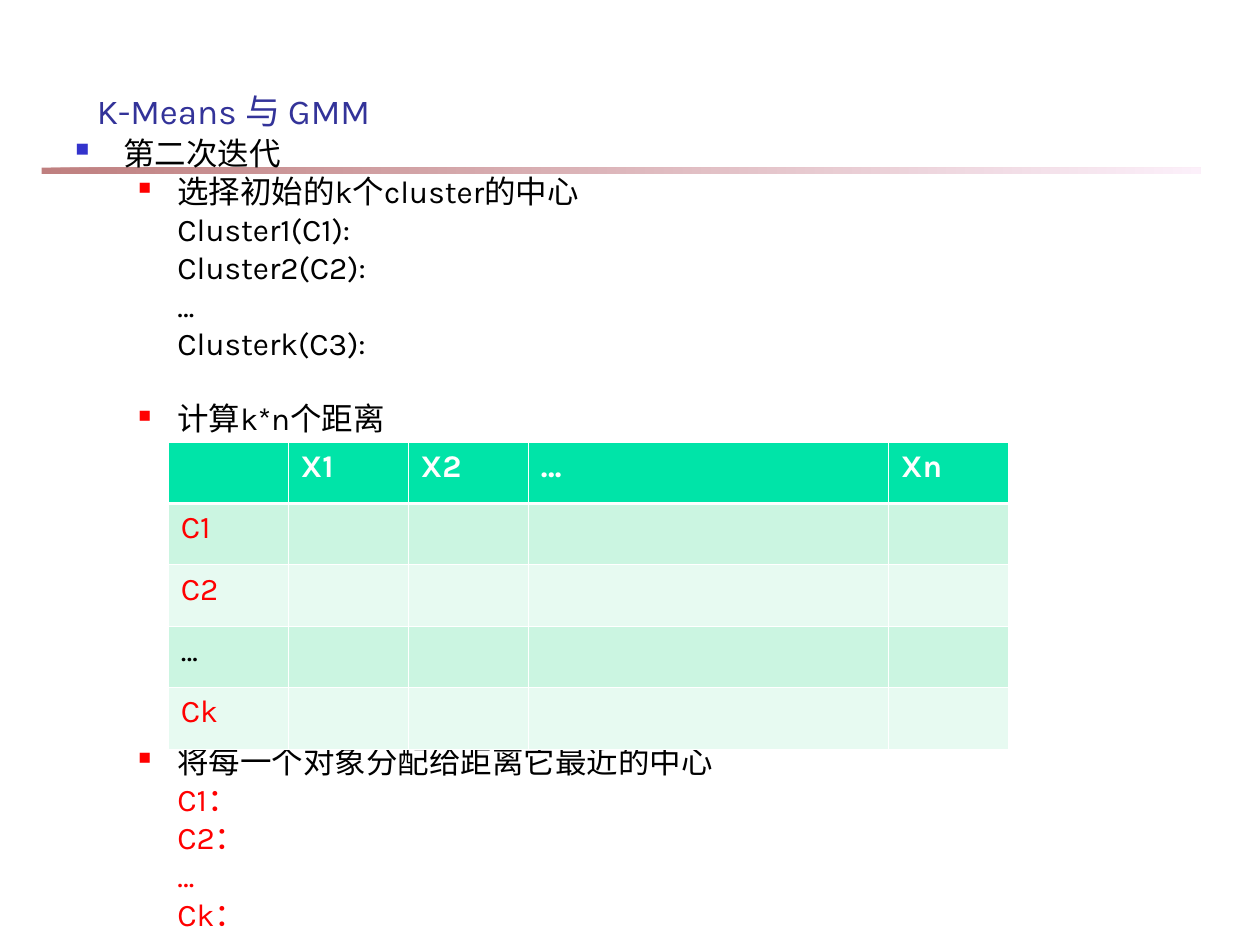
"""Build a slide on the second K-Means iteration with a distance table."""
from lxml import etree
from pptx import Presentation
from pptx.dml.color import RGBColor
from pptx.enum.shapes import MSO_SHAPE as SHAPE
from pptx.enum.text import MSO_ANCHOR as ANCHOR
from pptx.oxml import parse_xml
from pptx.oxml.ns import nsdecls, qn
from pptx.util import Inches, Pt

prs = Presentation()
prs.slide_width, prs.slide_height = Inches(10), Inches(7.5)
W, H = prs.slide_width, prs.slide_height
s = prs.slides.add_slide(prs.slide_layouts[6])
BLACK, RED, WHITE = "000000", "FF0000", "FFFFFF"


def area(x, y, w, h):
    """Turn percentages of the slide into a left, top, width, height box."""
    return [int(v * side / 100) for v, side in zip((x, y, w, h), (W, H, W, H))]


def write(p, text, color, size=18, bold=False):
    """Add one formatted run to a paragraph."""
    r = p.add_run()
    r.text = text
    for key, value in {"name": "Karla", "size": Pt(size), "bold": bold}.items():
        setattr(r.font, key, value)
    r.font.color.rgb = RGBColor.from_string(color)


bar = s.shapes.add_shape(SHAPE.RECTANGLE, *area(3.3, 17.73, 92, 0.67))
bar.shadow.inherit = False
bar.line.fill.background()
bar.fill.gradient()
bar.fill.gradient_angle = 0
for stop, color in zip(bar.fill.gradient_stops, ("800000", "FAE2F6")):
    stop.color.rgb = RGBColor.from_string(color)
for clr in bar.fill._xPr.iter(qn("a:srgbClr")):
    etree.SubElement(clr, qn("a:alpha")).set("val", "50000")

tf = s.shapes.add_textbox(*area(6.7, 5.6, 85.2, 8.93)).text_frame
tf.word_wrap, tf.vertical_anchor = True, ANCHOR.BOTTOM
write(tf.paragraphs[0], "K-Means 与 GMM", "333399", 20)

BULLETS = {0: ("3333CC", 60, 3.8, 3.8), 1: (RED, 55, 8.1, 3.1)}
lines = [
    ("第二次迭代", 0, BLACK, 0),
    ("选择初始的k个cluster的中心", 1, BLACK, 4.5),
    ("Cluster1(C1):", None, BLACK, 4.5),
    ("Cluster2(C2):", None, BLACK, 4.5),
    ("…", None, BLACK, 4.5),
    ("Clusterk(C3):", None, BLACK, 4.5),
    ("计算k*n个距离", 1, BLACK, 25.5),
    ("将每一个对象分配给距离它最近的中心", 1, BLACK, 178.5),
    ("C1：", None, RED, 4.5),
    ("C2：", None, RED, 4.5),
    ("…", None, RED, 4.5),
    ("Ck：", None, RED, 4.5),
]
tf = s.shapes.add_textbox(*area(5, 14.27, 90, 85.73)).text_frame
tf.word_wrap = True
for i, (text, bullet, color, before) in enumerate(lines):
    p = tf.add_paragraph() if i else tf.paragraphs[0]
    p.level = 0 if bullet == 0 else 1
    clr, pct, margin, hang = BULLETS[p.level]
    pPr = p._p.get_or_add_pPr()
    pPr.set("marL", str(int(W * margin / 100)))
    pPr.set("indent", "0" if bullet is None else str(-int(W * hang / 100)))
    if bullet is not None:
        for xml in (f'<a:buClr {nsdecls("a")}><a:srgbClr val="{clr}"/></a:buClr>',
                    f'<a:buSzPct {nsdecls("a")} val="{pct}000"/>',
                    f'<a:buChar {nsdecls("a")} char="■"/>'):
            pPr.append(parse_xml(xml))
    p.line_spacing, p.space_before = 0.8, Pt(before)
    write(p, text, color)

heads = ["", "X1", "X2", "…", "Xn"]
labels = ["", "C1", "C2", "…", "Ck"]
shares = [1, 1, 1, 3, 1]
x, y, w, h = area(13.35, 46.77, 66.7, 32.5)
table = s.shapes.add_table(len(labels), len(heads), x, y, w, h).table
for col, share in zip(table.columns, shares):
    col.width = w * share // sum(shares)
for i, label in enumerate(labels):
    table.rows[i].height = h // len(labels)
    for j, head in enumerate(heads):
        cell = table.cell(i, j)
        cell.fill.solid()
        fill = "00E4A8" if i == 0 else ("E7FAF1", "CBF5E1")[i % 2]
        cell.fill.fore_color.rgb = RGBColor.from_string(fill)
        text = head if i == 0 else label if j == 0 else ""
        if text:
            color = WHITE if i == 0 else BLACK if text == "…" else RED
            write(cell.text_frame.paragraphs[0], text, color, bold=i == 0)
        for k, side in enumerate("LRTB"):
            thick = (i, side) in ((0, "B"), (1, "T"))
            cell._tc.get_or_add_tcPr().insert(k, parse_xml(
                f'<a:ln{side} {nsdecls("a")} w="{Pt(1.47 if thick else 0.45)}">'
                f'<a:solidFill><a:srgbClr val="{WHITE}"/></a:solidFill></a:ln{side}>'))

prs.save("out.pptx")
